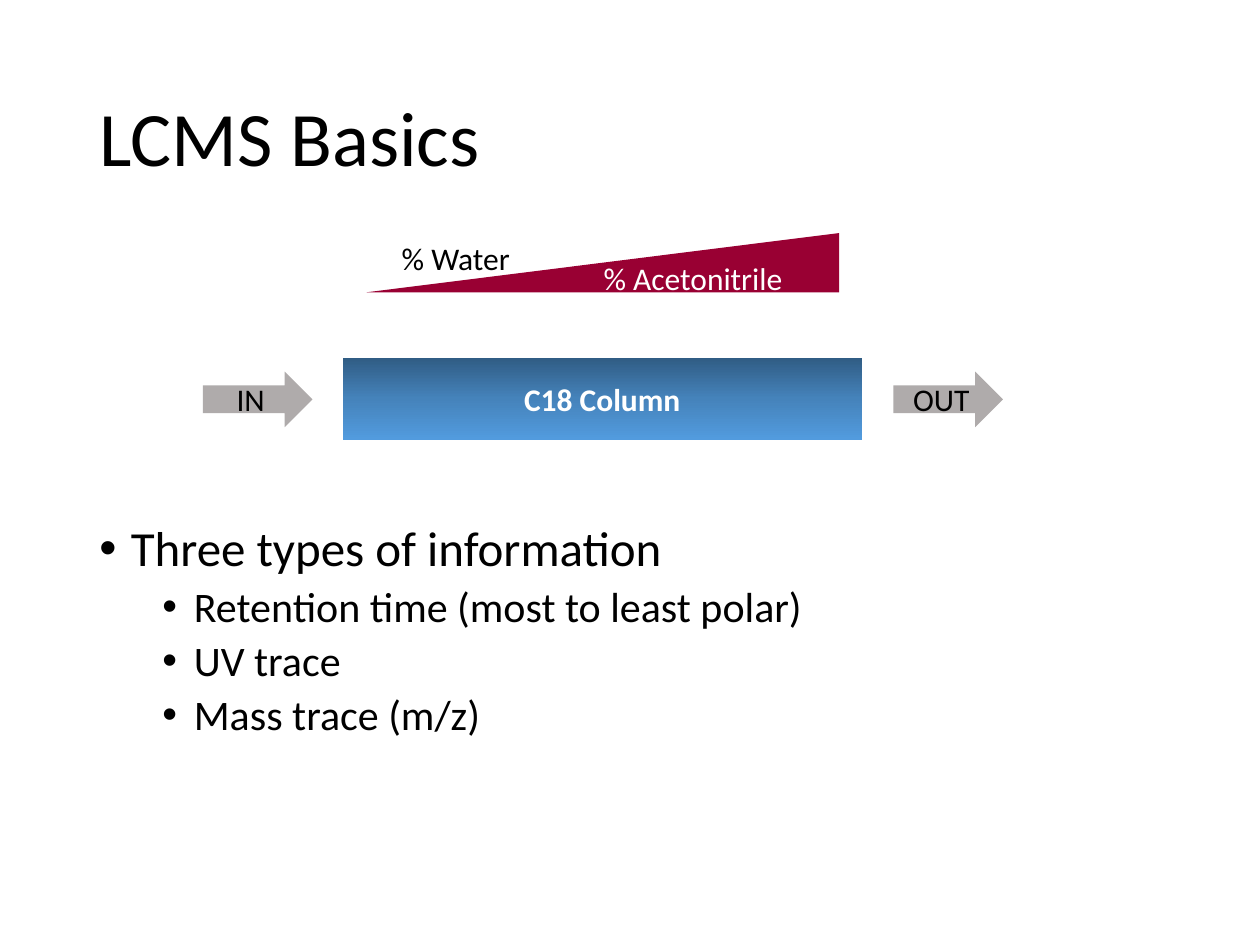
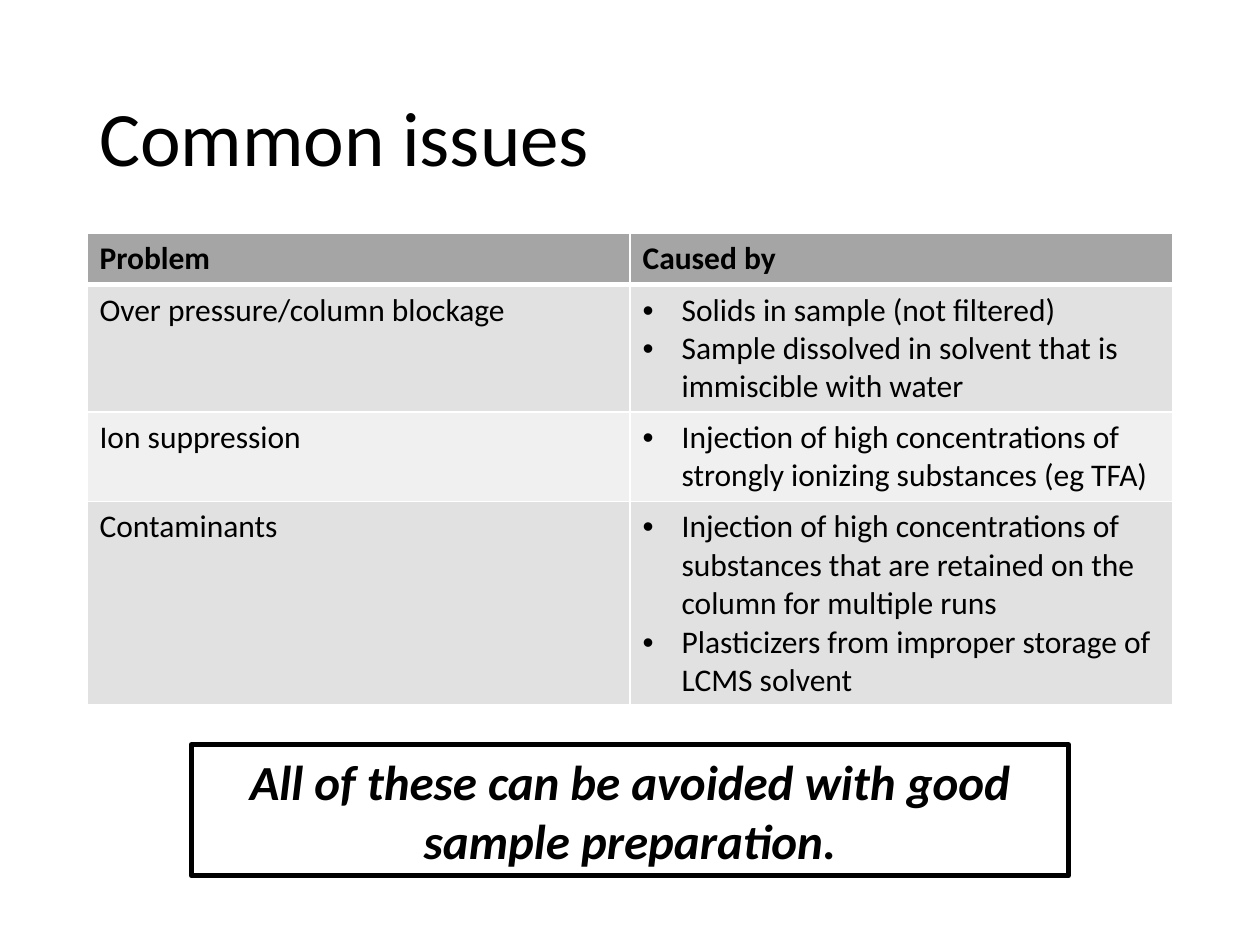
from dataclasses import dataclass

from lxml.etree import SubElement
from pptx import Presentation
from pptx.dml.color import RGBColor
from pptx.enum.shapes import MSO_SHAPE
from pptx.enum.text import MSO_ANCHOR, PP_ALIGN
from pptx.oxml.ns import qn
from pptx.util import Inches, Pt

# Content
FLOW_TITLE = "LCMS Basics"
COLUMN_LABEL = "C18 Column"
WATER_LABEL = "% Water"
ACETONITRILE_LABEL = "% Acetonitrile"
FLOW_ARROWS = [("IN", 1.61), ("OUT", 7.09)]
INFORMATION = [
    (0, "Three types of information"),
    (1, "Retention time (most to least polar)"),
    (1, "UV trace"),
    (1, "Mass trace (m/z)"),
]

ISSUES_TITLE = "Common issues"
ISSUES_HEADER = ("Problem", "Caused by")
# Problem, causes, text lines the row holds
ISSUES = [
    ("Over pressure/column blockage",
     ["Solids in sample (not filtered)",
      "Sample dissolved in solvent that is immiscible with water"], 3),
    ("Ion suppression",
     ["Injection of high concentrations of strongly ionizing substances (eg TFA)"], 2),
    ("Contaminants",
     ["Injection of high concentrations of substances that are retained on the "
      "column for multiple runs",
      "Plasticizers from improper storage of LCMS solvent"], 5),
]
ADVICE = "All of these can be avoided with good sample preparation."


@dataclass(frozen=True)
class Theme:
    font: str = "Calibri"
    ink: str = "000000"
    paper: str = "FFFFFF"
    arrow: str = "AFABAB"
    acetonitrile: str = "990033"
    column: tuple = ((0, "305C84"), (50, "4583BB"), (100, "529BDE"))
    header: str = "A5A5A5"
    bands: tuple = ("E1E1E1", "F0F0F0")
    title_size: int = 44
    body_sizes: tuple = (28, 24)
    label_size: int = 18


THEME = Theme()

# Layout, in inches
WIDTH, HEIGHT = 10, 7.5
MARGIN = 0.69
CONTENT = WIDTH - 2 * MARGIN
CONTENT_TOP = 1.85
CELL_PADDING, CELL_LINE = 0.11, 0.3


def color(value):
    return RGBColor.from_string(value)


def add_text(para, text, size=THEME.label_size, ink=THEME.ink, bold=False, italic=False):
    span = para.add_run()
    span.text = text
    font = span.font
    font.name, font.size, font.bold, font.italic = THEME.font, Pt(size), bold, italic
    font.color.rgb = color(ink)


def add_bullet(para, left, hang):
    """Hang the paragraph from a bullet; call after its spacing is set."""
    settings = para._p.get_or_add_pPr()
    settings.set("marL", str(Inches(left)))
    settings.set("indent", str(-Inches(hang)))
    SubElement(settings, qn("a:buFont"), typeface="Arial")
    SubElement(settings, qn("a:buChar"), char="•")


def add_box(page, left, top, width, height, wrap=True):
    box = page.shapes.add_textbox(*map(Inches, (left, top, width, height)))
    box.text_frame.word_wrap = wrap
    return box.text_frame


def add_figure(page, kind, area, text, fill=None, outline=None, **style):
    shape = page.shapes.add_shape(kind, *map(Inches, area))
    shape.shadow.inherit = False
    if fill:
        shape.fill.solid()
        shape.fill.fore_color.rgb = color(fill)
    else:
        shape.fill.background()
    if outline:
        shape.line.color.rgb = color(THEME.ink)
        shape.line.width = Pt(outline)
    else:
        shape.line.fill.background()
    frame = shape.text_frame
    frame.word_wrap = True
    frame.vertical_anchor = MSO_ANCHOR.MIDDLE
    para = frame.paragraphs[0]
    para.alignment = PP_ALIGN.CENTER
    add_text(para, text, **style)
    return shape


def add_page(deck, title):
    page = deck.slides.add_slide(deck.slide_layouts[6])
    frame = add_box(page, MARGIN, 0.4, CONTENT, 1.45)
    frame.vertical_anchor = MSO_ANCHOR.MIDDLE
    para = frame.paragraphs[0]
    para.line_spacing = 0.9
    add_text(para, title, THEME.title_size)
    return page


def shade_downward(shape, stops):
    shape.fill.gradient()
    shape.fill.gradient_angle = 270
    stop_list = shape.element.spPr.find(qn("a:gradFill")).find(qn("a:gsLst"))
    stop_list.clear()
    for percent, value in stops:
        stop = SubElement(stop_list, qn("a:gs"), pos=str(percent * 1000))
        SubElement(stop, qn("a:srgbClr"), val=value)


def border_cell(cell, top, bottom):
    settings = cell._tc.get_or_add_tcPr()
    for side, width in (("L", 1), ("R", 1), ("T", top), ("B", bottom)):
        line = SubElement(settings, qn(f"a:ln{side}"), w=str(Pt(width)))
        fill = SubElement(line, qn("a:solidFill"))
        SubElement(fill, qn("a:srgbClr"), val=THEME.paper)


def fill_cell(cell, row, texts, bulleted):
    header = row == 0
    border_cell(cell, top=3 if row == 1 else 1, bottom=3 if header else 1)
    cell.fill.solid()
    cell.fill.fore_color.rgb = color(THEME.header if header else THEME.bands[(row - 1) % 2])
    frame = cell.text_frame
    for index, text in enumerate(texts):
        para = frame.add_paragraph() if index else frame.paragraphs[0]
        if bulleted:
            add_bullet(para, 0.31, 0.31)
        add_text(para, text, bold=header)


def build_basics(deck):
    page = add_page(deck, FLOW_TITLE)

    # Information list
    frame = add_box(page, MARGIN, 4.11, CONTENT, 2.62)
    for index, (level, text) in enumerate(INFORMATION):
        para = frame.add_paragraph() if index else frame.paragraphs[0]
        para.level = level
        para.line_spacing = 0.9
        para.space_before = Pt(5 if level else 10)
        add_bullet(para, 0.25 + 0.5 * level, 0.25)
        add_text(para, text, THEME.body_sizes[level])

    # Column
    column = add_figure(page, MSO_SHAPE.RECTANGLE, (2.72, 2.84, 4.12, 0.65),
                        COLUMN_LABEL, ink=THEME.paper, bold=True)
    shade_downward(column, THEME.column)

    # Solvent gradient
    wedge = add_figure(page, MSO_SHAPE.RIGHT_TRIANGLE, (2.91, CONTENT_TOP, 3.75, 0.47),
                       ACETONITRILE_LABEL, THEME.acetonitrile, ink=THEME.paper)
    wedge.element.spPr.xfrm.set("flipH", "1")
    wedge.text_frame.margin_left = Inches(0.28)
    water = add_box(page, 3.09, CONTENT_TOP, 1.07, 0.4, wrap=False)
    add_text(water.paragraphs[0], WATER_LABEL)

    # Flow arrows
    for text, left in FLOW_ARROWS:
        add_figure(page, MSO_SHAPE.RIGHT_ARROW, (left, 2.95, 0.87, 0.44), text, THEME.arrow)


def build_issues(deck):
    page = add_page(deck, ISSUES_TITLE)

    # Table of problems and causes
    line_counts = [1] + [lines for _, _, lines in ISSUES]
    heights = [CELL_PADDING + CELL_LINE * lines for lines in line_counts]
    area = (MARGIN, CONTENT_TOP, CONTENT, sum(heights))
    table = page.shapes.add_table(len(heights), 2, *map(Inches, area)).table
    rows = [[[text] for text in ISSUES_HEADER]]
    rows += [[[problem], causes] for problem, causes, _ in ISSUES]
    for row, (cells, height) in enumerate(zip(rows, heights)):
        table.rows[row].height = Inches(height)
        for column, texts in enumerate(cells):
            fill_cell(table.cell(row, column), row, texts, bulleted=row > 0 and column == 1)

    # Advice, centred under the table
    width = 6.96
    add_figure(page, MSO_SHAPE.RECTANGLE, ((WIDTH - width) / 2, 5.91, width, 1.04), ADVICE,
               outline=3, size=THEME.body_sizes[0], bold=True, italic=True)


def main():
    deck = Presentation()
    deck.slide_width, deck.slide_height = Inches(WIDTH), Inches(HEIGHT)
    build_basics(deck)
    build_issues(deck)
    deck.save("out.pptx")


if __name__ == "__main__":
    main()
